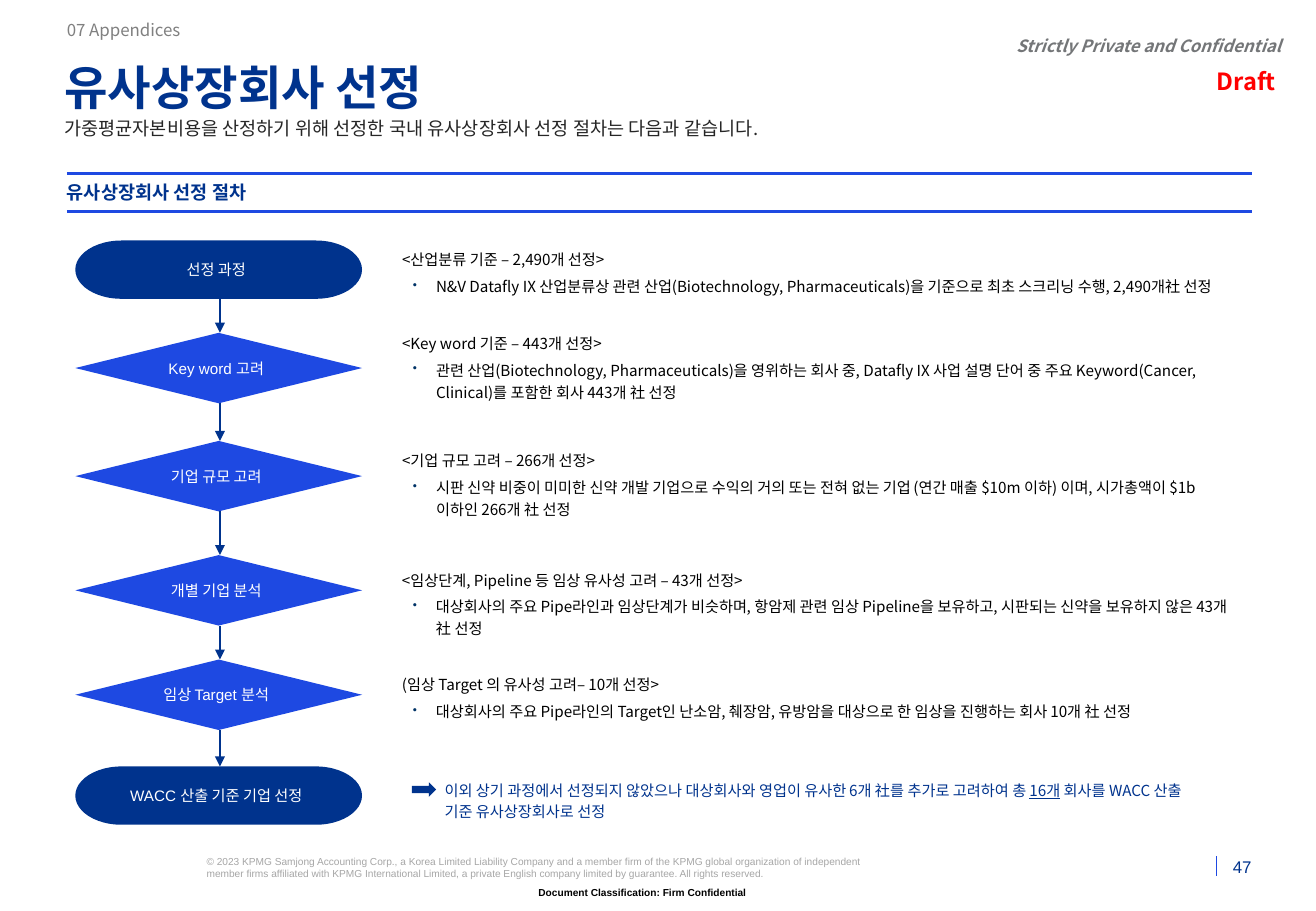
from lxml import etree
from pptx import Presentation
from pptx.dml.color import RGBColor
from pptx.enum import shapes, text
from pptx.oxml.ns import qn
from pptx.util import Inches, Pt

NOTO, ARIAL = "Noto Sans CJK KR", "Arial"
NAVY, BLUE = "00338D", "1E49E2"

# Flow steps: kind, top, label
STEPS = [
    ("end", 1.98, "선정 과정"),
    ("test", 2.74, "Key word 고려"),
    ("test", 3.63, "기업 규모 고려"),
    ("test", 4.57, "개별 기업 분석"),
    ("test", 5.43, "임상 Target 분석"),
    ("end", 6.31, "WACC 산출 기준 기업 선정"),
]
# Shape, height and fill of each kind of step
KINDS = {
    "end": (shapes.MSO_SHAPE.FLOWCHART_TERMINATOR, 0.48, NAVY),
    "test": (shapes.MSO_SHAPE.FLOWCHART_DECISION, 0.58, BLUE),
}
# Notes: top, width, height, heading, bullet
NOTES = [
    (1.98, 6.95, 0.5, "<산업분류 기준 – 2,490개 선정>",
     "N&V Datafly IX 산업분류상 관련 산업(Biotechnology, Pharmaceuticals)을 "
     "기준으로 최초 스크리닝 수행, 2,490개社 선정"),
    (2.67, 6.95, 0.68, "<Key word 기준 – 443개 선정>",
     "관련 산업(Biotechnology, Pharmaceuticals)을 영위하는 회사 중, Datafly IX "
     "사업 설명 단어 중 주요 Keyword(Cancer, Clinical)를 포함한 회사 443개 社 선정"),
    (3.64, 6.95, 0.68, "<기업 규모 고려 – 266개 선정>",
     "시판 신약 비중이 미미한 신약 개발 기업으로 수익의 거의 또는 전혀 없는 기업 "
     "(연간 매출 $10m 이하) 이며, 시가총액이 $1b 이하인 266개 社 선정"),
    (4.62, 7.1, 0.68, "<임상단계, Pipeline 등 임상 유사성 고려 – 43개 선정>",
     "대상회사의 주요 Pipe라인과 임상단계가 비슷하며, 항암제 관련 임상 Pipeline을 "
     "보유하고, 시판되는 신약을 보유하지 않은 43개 社 선정"),
    (5.48, 7.1, 0.5, "(임상 Target 의 유사성 고려– 10개 선정>",
     "대상회사의 주요 Pipe라인의 Target인 난소암, 췌장암, 유방암을 대상으로 한 "
     "임상을 진행하는 회사 10개 社 선정"),
]
# Text between bars is underlined
RESULT = ("이외 상기 과정에서 선정되지 않았으나 대상회사와 영업이 유사한 6개 社를 추가로 "
          "고려하여 총 |16개| 회사를 WACC 산출 기준 유사상장회사로 선정")
RIGHTS = ("© 2023 KPMG Samjong Accounting Corp., a Korea Limited Liability Company and a "
          "member firm of the KPMG global organization of independent member firms affiliated "
          "with KPMG International Limited, a private English company limited by guarantee. "
          "All rights reserved.")
# Plain texts: words, place, format
LABELS = [
    ("Strictly Private and Confidential", (8.24, 0.3, 2.3, 0.16),
     dict(size=10, color="747678", bold=True, italic=True, align="RIGHT", anchor="MIDDLE")),
    ("Draft", (8.62, 0.55, 1.92, 0.24),
     dict(size=14, color="FF0000", bold=True, align="RIGHT", anchor="MIDDLE",
          inset=(0, 0, 0.04, 0))),
    ("07 Appendices", (0.55, 0.13, 9.38, 0.23),
     dict(size=10, color="808080", anchor="MIDDLE")),
    ("가중평균자본비용을 산정하기 위해 선정한 국내 유사상장회사 선정 절차는 다음과 같습니다.",
     (0.53, 0.96, 9.76, 0.19), dict(size=11, color="262626")),
    ("유사상장회사 선정 절차", (0.55, 1.43, 9.75, 0.31),
     dict(size=11, color=NAVY, bold=True, anchor="MIDDLE")),
    (RIGHTS, (1.7, 7.04, 5.59, 0.2), dict(size=6, color="A6A6A6", font=ARIAL)),
    ("Document Classification: Firm Confidential", (4.14, 7.3, 2, 0.1),
     dict(size=6, color="000000", bold=True, font=ARIAL, align="RIGHT")),
    ("47", (10.03, 7.06, 0.27, 0.16),
     dict(size=10, color=NAVY, font=ARIAL, align="RIGHT", anchor="BOTTOM")),
]

deck = Presentation()
deck.slide_width, deck.slide_height = Inches(10.83), Inches(7.5)
slide = deck.slides.add_slide(deck.slide_layouts[5])
parts = slide.shapes


def rgb(code):
    return RGBColor.from_string(code)


def box(place):
    return [Inches(n) for n in place]


def write(shape, *lines, size=9, color="000000", font=NOTO, bold=False, italic=False,
          align="LEFT", anchor="TOP", inset=(0, 0, 0, 0), wrap=True, lead=1.0, after=0,
          left=0, bullet=False):
    """Fill a shape with paragraphs; with bullet, all but the first get one."""
    frame = shape.text_frame
    frame.auto_size = text.MSO_AUTO_SIZE.NONE
    frame.word_wrap = wrap
    frame.vertical_anchor = getattr(text.MSO_ANCHOR, anchor)
    (frame.margin_left, frame.margin_top,
     frame.margin_right, frame.margin_bottom) = box(inset)
    for i, line in enumerate(lines):
        para = frame.paragraphs[0] if i == 0 else frame.add_paragraph()
        para.alignment = getattr(text.PP_ALIGN, align)
        para.line_spacing, para.space_after = lead, Pt(after)
        props = para._p.get_or_add_pPr()
        if left:
            props.set("marL", str(Inches(left)))
        if bullet and i:
            props.set("marL", str(Inches(0.28)))
            props.set("indent", str(Inches(-0.19)))
            tint = etree.SubElement(props, qn("a:buClr"))
            etree.SubElement(tint, qn("a:srgbClr"), val="003366")
            etree.SubElement(props, qn("a:buSzPct"), val="80000")
            etree.SubElement(props, qn("a:buChar"), char="•")
        for j, piece in enumerate(line.split("|")):
            run = para.add_run()
            run.text = piece
            look = run.font
            look.size, look.bold, look.italic = Pt(size), bold, italic
            look.underline = True if j % 2 else None
            look.color.rgb = rgb(color)
            look.name = font
            latin = run._r.rPr.find(qn("a:latin"))
            latin.addnext(latin.makeelement(qn("a:ea"), typeface=NOTO))


def label(place, *lines, **form):
    write(parts.add_textbox(*box(place)), *lines, **form)


def solid(kind, place, color):
    shape = parts.add_shape(kind, *box(place))
    shape.shadow.inherit = False
    shape.fill.solid()
    shape.fill.fore_color.rgb = rgb(color)
    shape.line.fill.background()
    return shape


def rule(x1, y1, x2, y2, color, width, arrow=False):
    line = parts.add_connector(shapes.MSO_CONNECTOR.STRAIGHT, *box((x1, y1, x2, y2)))
    line.line.color.rgb = rgb(color)
    line.line.width = Pt(width)
    if arrow:
        etree.SubElement(line.line._ln, qn("a:tailEnd"), type="triangle")
    etree.SubElement(line._element.spPr, qn("a:effectLst"))


# Title
title = parts.title
title.left, title.top, title.width, title.height = box((0.53, 0.48, 9.76, 0.47))
write(title, "유사상장회사 선정", size=28, color=NAVY, bold=True)

# Header, section and footer texts with their rules
for words, place, form in LABELS:
    label(place, words, **form)
for y in (1.43, 1.74):
    rule(0.55, y, 10.3, y, BLUE, 1.5)
rule(10.01, 7.05, 10.01, 7.21, BLUE, 0.5)

# Flow chart, each step joined to the one above
base = None
for kind, top, words in STEPS:
    form, high, color = KINDS[kind]
    step = solid(form, (0.62, top, 2.36, high), color)
    write(step, words, color="FFFFFF", font=ARIAL, align="CENTER", anchor="MIDDLE",
          inset=(0, 0.04, 0.04, 0.04), wrap=False)
    if base:
        rule(1.81, base, 1.81, top, NAVY, 0.75, arrow=True)
    base = top + high

# Notes beside the steps
body = dict(lead=1.2, after=3, inset=(0.1, 0.05, 0.1, 0.05))
for top, wide, high, head, point in NOTES:
    label((3.21, top, wide, high), head, point, bullet=True, **body)

# Result
label((3.37, 6.35, 6.49, 0.64), RESULT, color=NAVY, left=0.19, **body)
solid(shapes.MSO_SHAPE.RIGHT_ARROW, (3.39, 6.44, 0.2, 0.12), NAVY)

deck.save("out.pptx")
